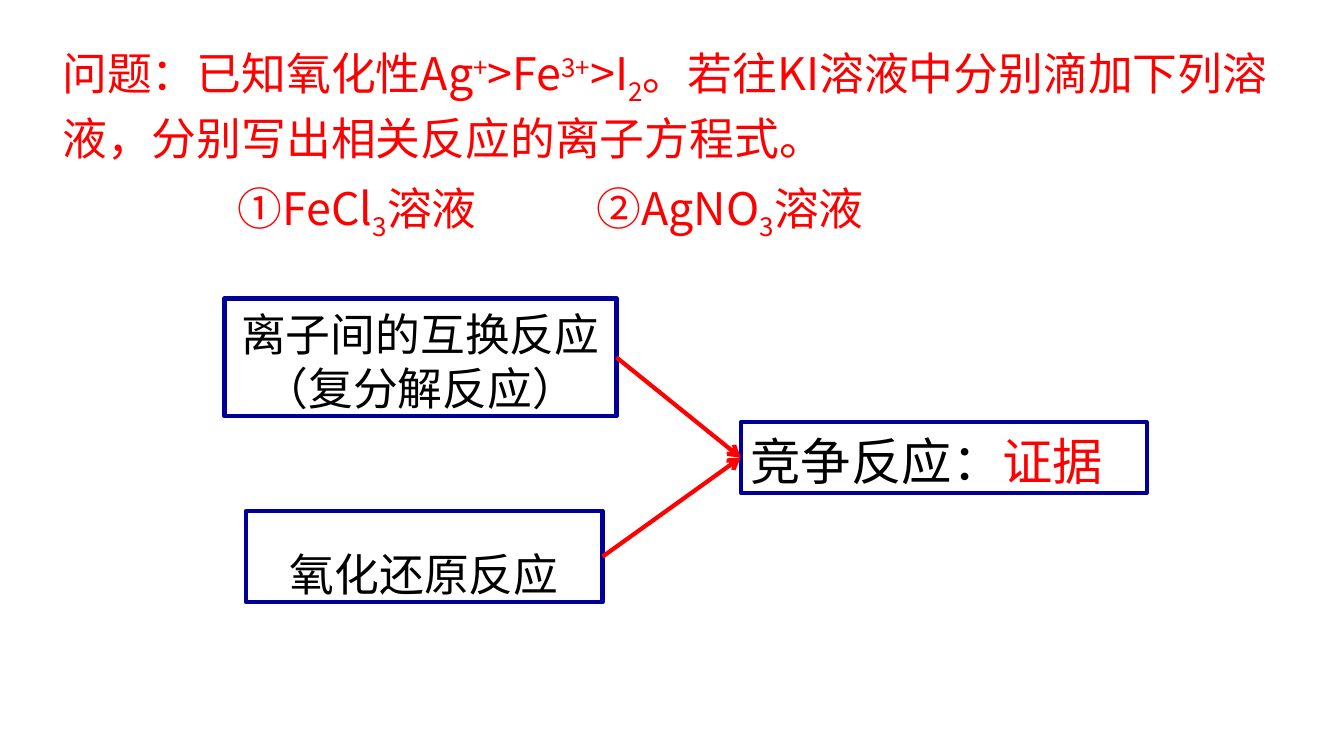
import pptx
import pptx.util
import pptx.dml.color
import pptx.enum.shapes
import pptx.enum.text
import pptx.oxml.ns
from lxml import etree

Cm, Pt = pptx.util.Cm, pptx.util.Pt
qn = pptx.oxml.ns.qn
RED, BLACK, NAVY = "FF0000", "000000", "000099"
SANS, SERIF = "Noto Sans CJK SC", "Times New Roman"
SUPER, SUB = 30000, -25000


def rgb(value):
    return pptx.dml.color.RGBColor.from_string(value)


def write(s, runs, size, spacing, font=SANS, centred=False, tab=None):
    """Fill a shape with one paragraph; runs are (text, colour, baseline)."""
    tf = s.text_frame
    tf.word_wrap = True
    tf.auto_size = pptx.enum.text.MSO_AUTO_SIZE.SHAPE_TO_FIT_TEXT
    tf.vertical_anchor = pptx.enum.text.MSO_ANCHOR.TOP
    tf.margin_left = tf.margin_right = Cm(0.25)
    tf.margin_top, tf.margin_bottom = Cm(0.21), Cm(0.05)
    p = tf.paragraphs[0]
    align = pptx.enum.text.PP_ALIGN
    p.alignment = align.CENTER if centred else align.LEFT
    p.line_spacing = Pt(spacing)
    if tab:
        tabs = etree.SubElement(p._p.get_or_add_pPr(), qn("a:tabLst"))
        etree.SubElement(tabs, qn("a:tab"), pos=str(tab), algn="l")
    for text, colour, baseline in runs:
        r = p.add_run()
        r.text = text
        r.font.size = Pt(size)
        r.font.color.rgb = rgb(colour)
        r.font.name = font
        rPr = r._r.get_or_add_rPr()
        etree.SubElement(rPr, qn("a:ea"), typeface=SANS)
        if baseline:
            rPr.set("baseline", str(baseline))


prs = pptx.Presentation()
prs.slide_width, prs.slide_height = Cm(33.88), Cm(19.05)
slide = prs.slides.add_slide(prs.slide_layouts[6])

# Question
question = slide.shapes.add_textbox(Cm(1.32), Cm(1.04), Cm(30.94), Cm(3.15))
write(question, [
    ("问题：已知氧化性Ag", RED, 0), ("+", RED, SUPER),
    (">Fe", RED, 0), ("3+", RED, SUPER),
    (">I", RED, 0), ("2", RED, SUB),
    ("。若往KI溶液中分别滴加下列溶液，分别写出相关反应的离子方程式。", RED, 0),
], 32, 41)

# The two solutions
solutions = slide.shapes.add_textbox(Cm(5.74), Cm(4.34), Cm(20.02), Cm(1.8))
write(solutions, [
    ("①FeCl", RED, 0), ("3", RED, SUB),
    ("溶液\t②AgNO", RED, 0), ("3", RED, SUB), ("溶液", RED, 0),
], 32, 44, tab=Cm(9.05))

# Framed boxes: position, line width, runs, size, spacing, font, centred
boxes = []
for at, width, runs, size, spacing, font, centred in [
    ((18.67, 10.64, 10.24, 1.78), 2.75,
     [("竞争反应：", BLACK, 0), ("证据", RED, 0)], 36, 43.2, SANS, False),
    ((5.66, 7.52, 9.88, 2.97), 3.25,
     [("离子间的互换反应（复分解反应）", BLACK, 0)], 32, 38.4, SANS, True),
    ((6.2, 12.88, 8.99, 2.29), 3.25,
     [("氧化还原反应", BLACK, 0)], 32, 57.6, SERIF, True),
]:
    s = slide.shapes.add_shape(pptx.enum.shapes.MSO_SHAPE.RECTANGLE,
                               *[Cm(v) for v in at])
    s.shadow.inherit = False
    s.fill.background()
    s.line.color.rgb = rgb(NAVY)
    s.line.width = Pt(width)
    write(s, runs, size, spacing, font, centred)
    boxes.append(s)

# Arrows from both reaction types to the competition box
competition, *reactions = boxes
for reaction in reactions:
    arrow = slide.shapes.add_connector(
        pptx.enum.shapes.MSO_CONNECTOR.STRAIGHT, 0, 0, 0, 0)
    arrow.begin_connect(reaction, 3)
    arrow.end_connect(competition, 1)
    arrow.line.color.rgb = rgb(RED)
    arrow.line.width = Pt(3)
    etree.SubElement(arrow.line._get_or_add_ln(), qn("a:tailEnd"), type="arrow")
    etree.SubElement(arrow._element.spPr, qn("a:effectLst"))

prs.save("out.pptx")
